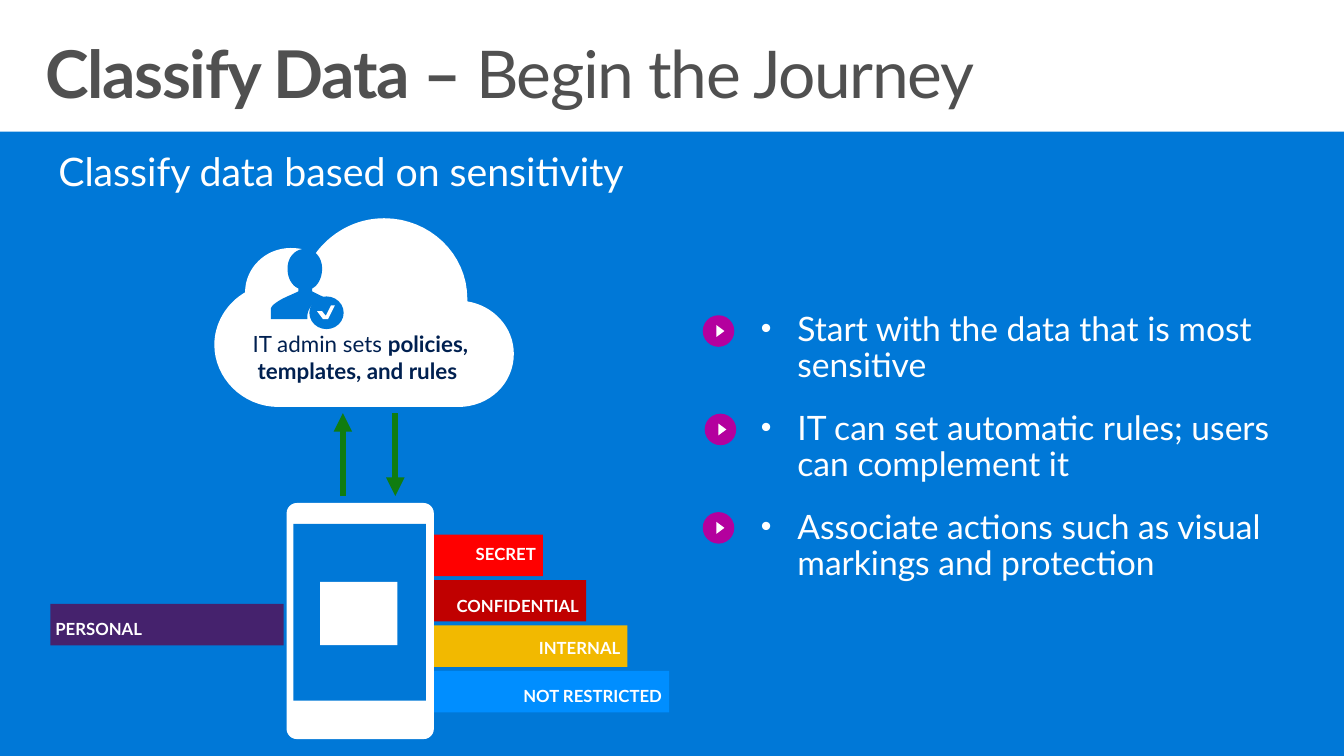
from lxml import etree
from pptx import Presentation
from pptx import util as u
from pptx.dml.color import RGBColor
from pptx.enum import shapes, text
from pptx.oxml import ns

FONT = "Lato"
BLUE, WHITE, GREEN = "0078D7", "FFFFFF", "107C10"
NAVY, GREY, PURPLE, PINK = "002050", "505050", "45226D", "B4009E"
KIND = shapes.MSO_SHAPE
ALIGN = text.PP_ALIGN

# Outlines: a pair is a corner, six numbers are a Bézier curve to the last pair.
CLOUD = [
    (340.5, 217.5),
    (340.5, 185, 313, 159, 280, 159),
    (258.5, 159, 240.5, 170, 229.7, 185),
    (224.6, 182, 218, 180.7, 211.7, 180.7),
    (193.7, 180.7, 178.6, 195, 178.6, 213),
    (165, 221, 156.2, 235.5, 156.2, 251.3),
    (156.2, 275, 176.4, 296.5, 203, 296.5),
    (334, 296.5),
    (356.5, 296.5, 374.4, 279.5, 374.4, 257.8),
    (374.4, 238.3, 359.3, 222.5, 340.5, 219.6),
]
ADMIN = [
    (224, 232.6), (223.9, 231),
    (223.9, 224, 229.7, 218.2, 236.9, 218.2),
    (239.8, 218.9),
    (237.6, 217.4, 235.4, 216, 233.3, 215.3),
    (227.5, 212.4), (227.5, 210.2),
    (231.8, 208, 234.7, 202.3, 234.7, 195.8),
    (234.7, 187.2, 229, 181.4, 222.2, 181.4),
    (215.3, 181.4, 209.5, 187.2, 209.5, 195.8),
    (209.5, 202.3, 212.4, 208, 217.4, 210.2),
    (217.4, 212.4), (211, 215.3),
    (206, 217.4, 197.3, 221.8, 197.3, 225.4),
    (197.3, 232.6),
]
TICK = [(231, 226.8), (234.7, 226.8), (237.4, 230.2), (241.2, 222.5),
        (244, 222.5), (239, 232.6), (235.4, 232.6)]


def tint(code):
    return RGBColor.from_string(code)


def trace(path, steps=16):
    """Turn corners and curves into a plain list of points."""
    dots = [path[0]]
    for part in path[1:]:
        if len(part) == 2:
            dots.append(part)
            continue
        a, b, c, d = dots[-1], part[:2], part[2:4], part[4:]
        for n in range(1, steps + 1):
            t = n / steps
            s = 1 - t
            dots.append(tuple(
                s**3 * a[i] + 3 * s * s * t * b[i] + 3 * s * t * t * c[i] + t**3 * d[i]
                for i in (0, 1)))
    return [(u.Pt(x), u.Pt(y)) for x, y in dots]


class Deck:
    def __init__(self, wide, high):
        self.show = Presentation()
        self.show.slide_width, self.show.slide_height = u.Pt(wide), u.Pt(high)
        self.slide = self.show.slides.add_slide(self.show.slide_layouts[6])
        self.items = self.slide.shapes

    def paint(self, item, fill):
        item.shadow.inherit = False
        item.fill.solid()
        item.fill.fore_color.rgb = tint(fill)
        item.line.fill.background()
        return item

    def shape(self, kind, box, fill, turn=0):
        item = self.paint(self.items.add_shape(kind, *map(u.Pt, box)), fill)
        item.rotation = turn
        return item

    def outline(self, path, fill):
        first, *rest = trace(path)
        pen = self.items.build_freeform(*first, scale=1.0)
        pen.add_line_segments(rest, close=True)
        self.paint(pen.convert_to_shape(), fill)

    def arrow(self, x, start, end):
        line = self.items.add_connector(
            shapes.MSO_CONNECTOR.STRAIGHT, u.Pt(x), u.Pt(start), u.Pt(x), u.Pt(end))
        line.line.color.rgb = tint(GREEN)
        line.line.width = u.Pt(4.5)
        etree.SubElement(line.line._get_or_add_ln(), ns.qn("a:tailEnd"), type="triangle")
        etree.SubElement(line._element.spPr, ns.qn("a:effectLst"))

    def words(self, box, paras, size, color=WHITE, inset=(11.5, 7.2, 11.5, 7.2),
              align=ALIGN.LEFT, lead=None, before=0, track=0, dots=False):
        """Each paragraph is a list of (words, bold) runs."""
        frame = self.items.add_textbox(*map(u.Pt, box)).text_frame
        frame.word_wrap = True
        (frame.margin_left, frame.margin_top,
         frame.margin_right, frame.margin_bottom) = map(u.Pt, inset)
        for i, runs in enumerate(paras):
            para = frame.add_paragraph() if i else frame.paragraphs[0]
            para.alignment = align
            para.space_before = u.Pt(before)
            if lead:
                para.line_spacing = lead if lead < 2 else u.Pt(lead)
            if dots:
                self.bullet(para)
            for words, bold in runs:
                run = para.add_run()
                run.text = words
                run.font.name, run.font.size = FONT, u.Pt(size)
                run.font.bold = bold
                run.font.color.rgb = tint(color)
                if track:
                    run._r.get_or_add_rPr().set("spc", str(track * 100))

    def bullet(self, para):
        props = para._p.get_or_add_pPr()
        props.set("marL", str(u.Pt(26.6)))
        props.set("indent", str(-u.Pt(26.6)))
        etree.SubElement(props, ns.qn("a:buSzPct"), val="90000")
        etree.SubElement(props, ns.qn("a:buFont"), typeface="Arial")
        etree.SubElement(props, ns.qn("a:buChar"), char="•")

    def label(self, box, word, align, lead=23.6):
        self.words(box, [[(word, True)]], 12.2, inset=(0, 0, 0, 2.9),
                   align=align, lead=lead)

    def play(self, x, y):
        self.shape(KIND.OVAL, (x, y, 23, 23), PINK)
        self.shape(KIND.ISOSCELES_TRIANGLE, (x + 8.6, y + 8.6, 8.6, 5.8), WHITE, 90)


def main():
    deck = Deck(979.2, 550.8)
    deck.shape(KIND.RECTANGLE, (0, 95.8, 979.2, 455), BLUE)
    deck.words((21.6, 23, 936, 72), [[("Classify Data – ", True), ("Begin the Journey", False)]],
               48, GREY, lead=0.9, track=-1)
    deck.words((31, 108, 745, 41), [[("Classify data based on sensitivity", False)]],
               28.6, lead=26.1, before=20)

    deck.outline(CLOUD, WHITE)
    deck.shape(KIND.OVAL, (225.4, 216, 25, 23.8), BLUE)
    deck.outline(TICK, WHITE)
    deck.outline(ADMIN, BLUE)
    deck.words((131.8, 236.9, 261.4, 46.8),
               [[(" IT admin sets ", False), ("policies, ", True)],
                [("templates, and rules ", True)]],
               16.3, NAVY, inset=(7.2, 3.6, 7.2, 3.6), align=ALIGN.CENTER)
    deck.arrow(288, 301, 361.4)
    deck.arrow(249.8, 361.4, 301)

    tags = [("SECRET", "FF0000", 83, 396, None),
            ("CONFIDENTIAL", "C00000", 114.5, 424.8, 23.6),
            ("INTERNAL", "F2B900", 144.7, 455.8, 23.6),
            ("NOT RESTRICTED", "008EFF", 175, 491, 23.6)]
    for i, (word, fill, wide, top, lead) in enumerate(tags):
        deck.shape(KIND.RECTANGLE, (312.5, 389.5 + 33.1 * i, wide, 30.2), fill)
        deck.label((312.5, top, wide - 5, 27.4), word, ALIGN.RIGHT, lead)
    deck.shape(KIND.RECTANGLE, (36.7, 440, 170, 30.2), PURPLE)
    deck.label((40.3, 442, 148.3, 27.4), "PERSONAL", ALIGN.LEFT)

    phone = deck.shape(KIND.ROUNDED_RECTANGLE, (208.8, 366.5, 107.3, 172), WHITE)
    phone.adjustments[0] = 0.07
    deck.shape(KIND.RECTANGLE, (213.8, 381.6, 96.5, 128.9), BLUE)
    deck.shape(KIND.RECTANGLE, (233.3, 424, 56.2, 46), WHITE)

    steps = ["Start with the data that is most sensitive",
             "IT can set automatic rules; users can complement it",
             "Associate actions such as visual markings and protection"]
    deck.words((542.9, 220.3, 411.8, 212.4), [[(step, False)] for step in steps],
               24.5, lead=26.1, before=20, dots=True)
    for i, x in enumerate((512, 513.4, 512)):
        deck.play(x, 229.7 + 71.7 * i)
    deck.show.save("out.pptx")


if __name__ == "__main__":
    main()
